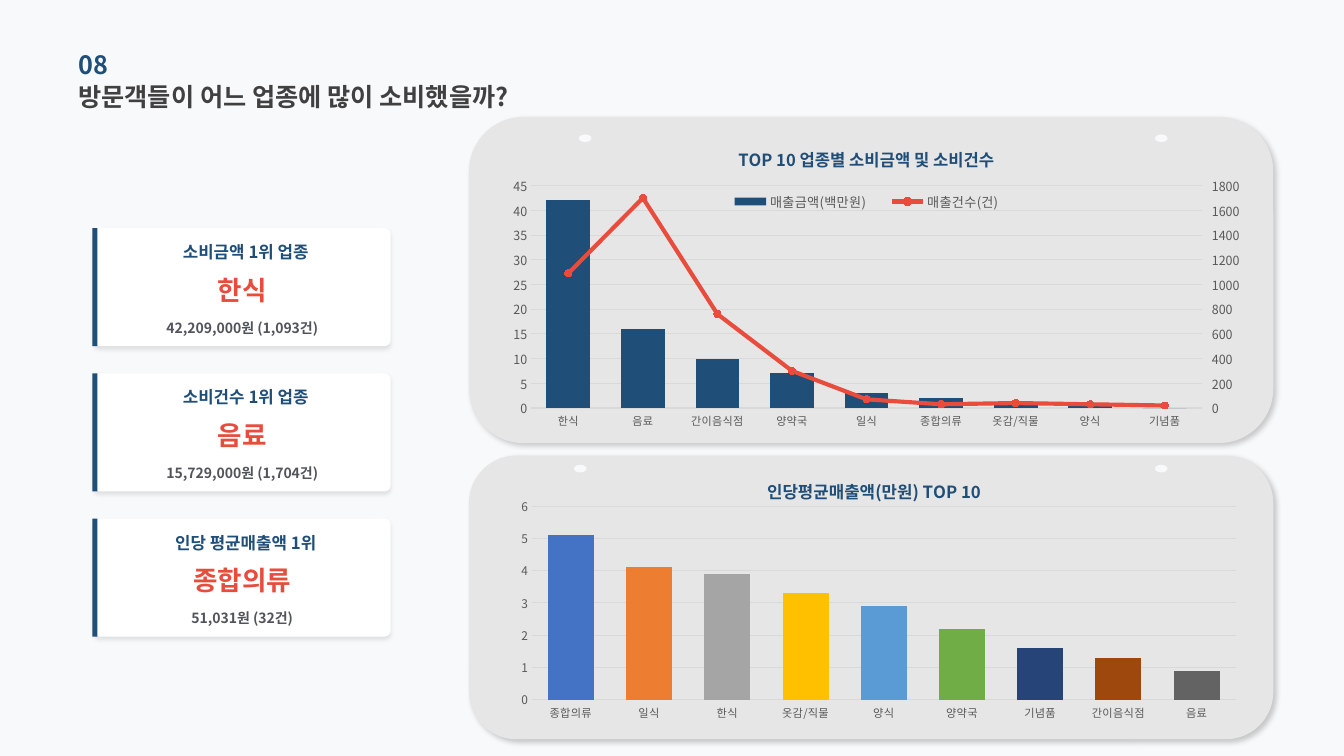
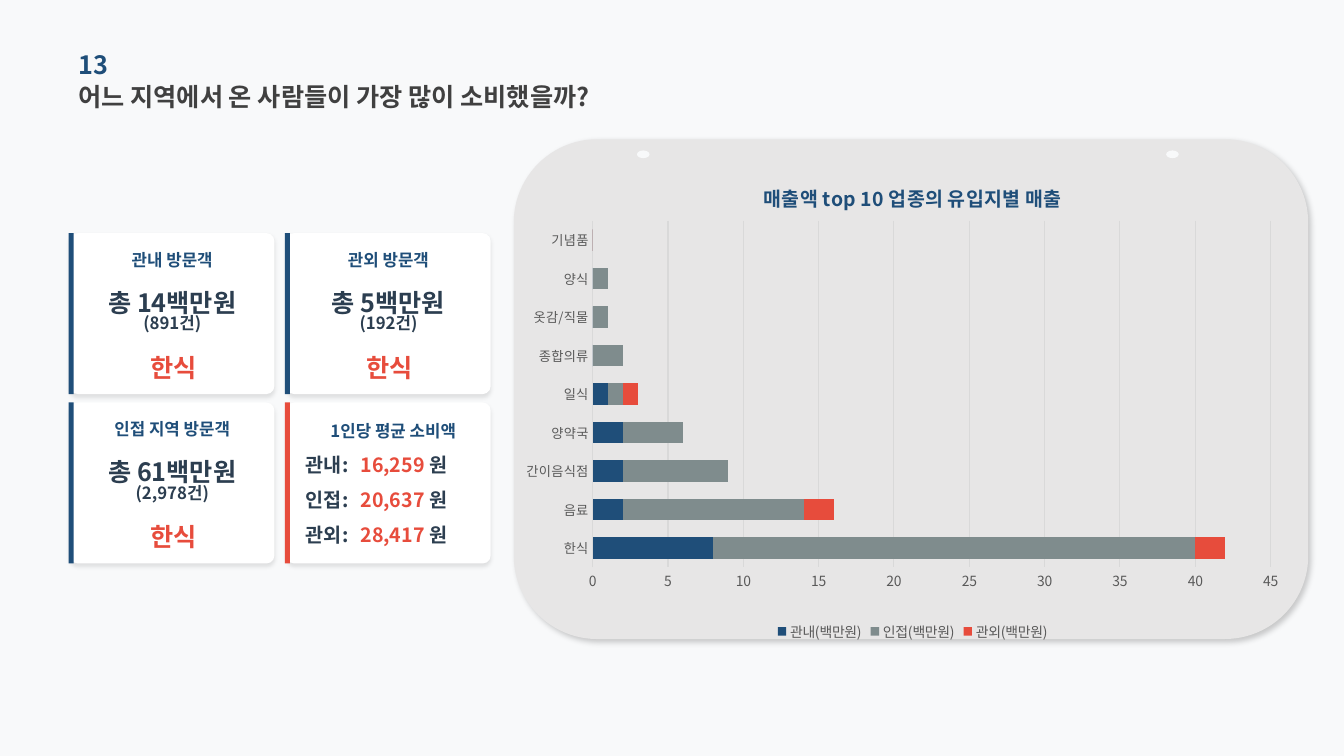
from dataclasses import dataclass
from typing import NamedTuple

from pptx import Presentation
from pptx.chart.axis import ValueAxis
from pptx.chart.data import CategoryChartData
from pptx.dml.color import RGBColor
from pptx.enum.chart import (XL_CHART_TYPE, XL_LEGEND_POSITION,
                             XL_MARKER_STYLE, XL_TICK_MARK)
from pptx.enum.shapes import MSO_SHAPE
from pptx.enum.text import MSO_ANCHOR, PP_ALIGN
from pptx.oxml import parse_xml
from pptx.oxml.ns import nsdecls, qn
from pptx.util import Pt


@dataclass(frozen=True)
class Theme:
    font: str = "Noto Sans CJK KR"
    chart_font: str = "Calibri"
    page: str = "F8F9FA"
    panel: str = "E7E6E6"
    card: str = "FFFFFF"
    navy: str = "1F4E79"
    red: str = "E74C3C"
    slate: str = "2C3E50"
    gray: str = "7F8C8D"
    title: str = "404040"
    note: str = "51545A"
    axis: str = "595959"
    grid: str = "D9D9D9"
    bars: tuple = ("4472C4", "ED7D31", "A5A5A5", "FFC000", "5B9BD5",
                   "70AD47", "264478", "9E480E", "636363")
    title_size: float = 18
    name_size: float = 19
    row_size: float = 14
    label_size: float = 12
    note_size: float = 10


THEME = Theme()


class Box(NamedTuple):
    """A rectangle in points."""
    left: float
    top: float
    width: float
    height: float

    def inner(self, left, top, width, height):
        return Box(self.left + left, self.top + top, width, height)

    def band(self, middle, height, shift=0):
        """Full-width strip centred at a distance below the top."""
        return self.inner(shift, middle - height / 2, self.width, height)

    def emu(self):
        return [Pt(length) for length in self]


def rgb(color):
    return RGBColor.from_string(color)


def style_font(font, size, color, bold=False, name=THEME.font):
    font.size, font.bold, font.name = Pt(size), bold, name
    font.color.rgb = rgb(color)
    latin = font._rPr.find(qn("a:latin"))
    latin.addnext(parse_xml(f'<a:ea {nsdecls("a")} typeface="{name}"/>'))


def add_text(page, box, *lines, size=THEME.label_size, color=THEME.navy,
             bold=True, align=PP_ALIGN.LEFT, spacing=None):
    """Each line is a string or a list of (text, format changes)."""
    frame = page.shapes.add_textbox(*box.emu()).text_frame
    frame.word_wrap = True
    frame.vertical_anchor = MSO_ANCHOR.MIDDLE
    frame.margin_left = frame.margin_right = 0
    frame.margin_top = frame.margin_bottom = 0
    for index, line in enumerate(lines):
        para = frame.add_paragraph() if index else frame.paragraphs[0]
        para.alignment = align
        if spacing:
            para.line_spacing = spacing
        for text, changes in [(line, {})] if isinstance(line, str) else line:
            span = para.add_run()
            span.text = text
            look = dict(size=size, color=color, bold=bold)
            style_font(span.font, **{**look, **changes})


def add_block(page, kind, box, color, corner=None, shadow=None):
    """Shadow is (alpha %, blur, distance, direction in degrees)."""
    block = page.shapes.add_shape(kind, *box.emu())
    block.fill.solid()
    block.fill.fore_color.rgb = rgb(color)
    block.line.fill.background()
    block.shadow.inherit = False
    if corner is not None:
        block.adjustments[0] = corner
    if shadow:
        alpha, blur, distance, direction = shadow
        block._element.spPr.find(qn("a:effectLst")).append(parse_xml(
            f'<a:outerShdw {nsdecls("a")} blurRad="{Pt(blur)}" '
            f'dist="{Pt(distance)}" dir="{direction * 60000}" algn="tl" '
            f'rotWithShape="0"><a:srgbClr val="000000">'
            f'<a:alpha val="{alpha * 1000}"/></a:srgbClr></a:outerShdw>'))


def add_panel(page, box):
    add_block(page, MSO_SHAPE.ROUNDED_RECTANGLE, box, THEME.panel,
              shadow=(20, 4, 3, 45))


def add_holes(page, box, lefts, top):
    for left in lefts:
        add_block(page, MSO_SHAPE.OVAL, box.inner(left, top, 9, 5.5), THEME.page)


def add_card(page, box, accent=THEME.navy):
    add_block(page, MSO_SHAPE.ROUNDED_RECTANGLE, box, THEME.card,
              corner=0.05, shadow=(10, 3, 2, 90))
    add_block(page, MSO_SHAPE.RECTANGLE, box.inner(-1, 0, 3.6, box.height), accent)


def add_page(deck, number, question):
    page = deck.slides.add_slide(deck.slide_layouts[6])
    page.background.fill.solid()
    page.background.fill.fore_color.rgb = rgb(THEME.page)
    head = Box(56, 31.5, 400, 29.5)
    add_text(page, head, number, size=THEME.title_size)
    add_text(page, head.inner(0, 22.5, 400, 29.5), question,
             size=THEME.title_size, color=THEME.title)
    return page


def layout_xml(place, inner=False):
    tags = ['<c:layoutTarget val="inner"/>'] if inner else []
    tags += [f'<c:{axis}Mode val="edge"/>' for axis in "xy"]
    tags += [f'<c:{tag} val="{share}"/>' for tag, share in zip("xywh", place)]
    return parse_xml(f'<c:layout {nsdecls("c")}><c:manualLayout>'
                     f'{"".join(tags)}</c:manualLayout></c:layout>')


def replace_layout(parent, after, layout):
    """Put a layout first in its parent, or after the named child."""
    for old in parent.findall(qn("c:layout")):
        parent.remove(old)
    if after:
        parent.find(qn(after)).addnext(layout)
    else:
        parent.insert(0, layout)


def style_value_axis(axis, size, top, step):
    axis.minimum_scale, axis.maximum_scale, axis.major_unit = 0, top, step
    axis.format.line.fill.background()
    style_font(axis.tick_labels.font, size, THEME.axis)


def add_chart(page, box, kind, categories, series, title, title_at, plot_at,
              title_size, category_size, value_size, top, step, gap, overlap):
    data = CategoryChartData()
    data.categories = categories
    for name, values, _ in series:
        data.add_series(name, values)
    chart = page.shapes.add_chart(kind, *box.emu(), data).chart
    style_font(chart.font, 10, "000000", name=THEME.chart_font)
    chart.has_legend = False

    heading = chart.chart_title.text_frame.paragraphs[0].add_run()
    heading.text = title
    style_font(heading.font, title_size, THEME.navy, True)
    space = chart._chartSpace
    area = space.chart.plotArea
    replace_layout(space.chart.find(qn("c:title")), "c:tx", layout_xml(title_at))
    replace_layout(area, None, layout_xml(plot_at, inner=True))
    clear = (f'<c:spPr {nsdecls("c", "a")}><a:noFill/>'
             '<a:ln><a:noFill/></a:ln></c:spPr>')
    space.find(qn("c:txPr")).addprevious(parse_xml(clear))
    area.append(parse_xml(clear))

    across, up = chart.category_axis, chart.value_axis
    across.major_tick_mark = up.major_tick_mark = XL_TICK_MARK.NONE
    style_font(across.tick_labels.font, category_size, THEME.axis)
    style_value_axis(up, value_size, top, step)
    up.has_major_gridlines = True
    for line in (across.format.line, up.major_gridlines.format.line):
        line.color.rgb, line.width = rgb(THEME.grid), Pt(0.75)

    plot = chart.plots[0]
    plot.gap_width, plot.overlap, plot.vary_by_categories = gap, overlap, False
    for drawn, (_, _, color) in zip(plot.series, series):
        drawn.format.fill.solid()
        drawn.format.fill.fore_color.rgb = rgb(color)
    return chart


def add_legend(chart, position, size, place=None):
    chart.has_legend = True
    chart.legend.position = position
    chart.legend.include_in_layout = False
    style_font(chart.legend.font, size, THEME.axis)
    if place:
        replace_layout(chart.legend._element, "c:legendPos", layout_xml(place))


def move_to_line(chart, color, size, top, step):
    """Draw the last series as a line on a second axis at the right."""
    area = chart._chartSpace.chart.plotArea
    bars = area.find(qn("c:barChart"))
    moved = bars.findall(qn("c:ser"))[-1]
    for tag in ("c:invertIfNegative", "c:spPr"):
        for child in moved.findall(qn(tag)):
            moved.remove(child)
    lines = parse_xml(
        f'<c:lineChart {nsdecls("c")}><c:grouping val="standard"/>'
        '<c:varyColors val="0"/><c:marker val="1"/>'
        '<c:axId val="5001"/><c:axId val="5002"/></c:lineChart>')
    lines.insert(2, moved)
    bars.addnext(lines)

    def axis_xml(tag, own, other, hidden, side, tick, crosses):
        return parse_xml(
            f'<c:{tag} {nsdecls("c")}><c:axId val="{own}"/><c:scaling>'
            f'<c:orientation val="minMax"/></c:scaling><c:delete val="{hidden}"/>'
            f'<c:axPos val="{side}"/><c:numFmt formatCode="General" '
            f'sourceLinked="0"/><c:majorTickMark val="{tick}"/>'
            f'<c:minorTickMark val="none"/><c:tickLblPos val="nextTo"/>'
            f'<c:crossAx val="{other}"/><c:crosses val="{crosses}"/></c:{tag}>')

    right = axis_xml("valAx", 5002, 5001, 0, "r", "out", "max")
    first = area.find(qn("c:valAx"))
    first.addnext(right)
    first.addnext(axis_xml("catAx", 5001, 5002, 1, "b", "none", "autoZero"))
    style_value_axis(ValueAxis(right), size, top, step)

    drawn = chart.plots[1].series[0]
    drawn.smooth = False
    drawn.format.line.color.rgb, drawn.format.line.width = rgb(color), Pt(3)
    drawn.marker.style, drawn.marker.size = XL_MARKER_STYLE.CIRCLE, 5
    for paint in (drawn.marker.format.fill, drawn.marker.format.line.fill):
        paint.solid()
        paint.fore_color.rgb = rgb(color)


def rank_card(page, box, label, name, note):
    add_card(page, box)
    add_text(page, box.band(17, 16, 2.5), label, align=PP_ALIGN.CENTER)
    add_text(page, box.band(44, 24), name, size=THEME.name_size,
             color=THEME.red, align=PP_ALIGN.CENTER)
    add_text(page, box.band(71, 12), note, size=THEME.note_size,
             color=THEME.note, align=PP_ALIGN.CENTER)


def visitor_card(page, box, label, total, count, favourite):
    add_card(page, box)
    add_text(page, box.band(19, 22), label, align=PP_ALIGN.CENTER)
    add_text(page, box.band(57, 34), [(total, {"size": THEME.title_size})], count,
             color=THEME.slate, align=PP_ALIGN.CENTER, spacing=0.8)
    add_text(page, box.band(96, 34, 1), favourite, size=THEME.title_size,
             color=THEME.red, align=PP_ALIGN.CENTER)


def average_card(page, box, label, rows):
    add_card(page, box, THEME.red)
    add_text(page, box.inner(31.5, 11, 110, 18), label)
    for index, (origin, amount) in enumerate(rows):
        top = 34 + 25 * index
        add_text(page, box.inner(14, top, 42, 21), origin,
                 size=THEME.row_size, color=THEME.slate)
        add_text(page, box.inner(53, top, 90, 21),
                 [(amount + " ", {"color": THEME.red}), ("원", {})],
                 size=THEME.row_size, color=THEME.slate)


SECTORS = ("한식", "음료", "간이음식점", "양약국", "일식", "종합의류",
           "옷감/직물", "양식", "기념품")


def sector_page(deck):
    page = add_page(deck, "08", "방문객들이 어느 업종에 많이 소비했을까?")
    upper, lower = Box(335, 83.5, 574.5, 233), Box(335, 325.5, 574.5, 202.5)
    for panel in (lower, upper):
        add_panel(page, panel)
    cards = (("소비금액 1위 업종", "한식", "42,209,000원 (1,093건)"),
             ("소비건수 1위 업종", "음료", "15,729,000원 (1,704건)"),
             ("인당 평균매출액 1위", "종합의류", "51,031원 (32건)"))
    for index, card in enumerate(cards):
        rank_card(page, Box(67, 163 + 103.75 * index, 212, 84.25), *card)

    columns = dict(kind=XL_CHART_TYPE.COLUMN_CLUSTERED, title_size=12,
                   category_size=8, gap=70, overlap=-27)
    spending = add_chart(
        page, upper.inner(23.5, 6, 527, 227), categories=SECTORS,
        series=(("매출금액(백만원)", (42, 16, 10, 7, 3, 2, 1, 1, 0), THEME.navy),
                ("매출건수(건)", (1090, 1700, 760, 300, 70, 30, 40, 30, 20),
                 THEME.red)),
        title="TOP 10 업종별 소비금액 및 소비건수", title_at=(0.32, 0.05),
        plot_at=(0.04, 0.19, 0.92, 0.7), value_size=9, top=45, step=5, **columns)
    move_to_line(spending, THEME.red, 9, 1800, 200)
    add_legend(spending, XL_LEGEND_POSITION.TOP, 9.5, (0.29, 0.2, 0.42, 0.08))

    average = add_chart(
        page, lower.inner(23.5, 1.5, 535, 192),
        categories=("종합의류", "일식", "한식", "옷감/직물", "양식", "양약국",
                    "기념품", "간이음식점", "음료"),
        series=(("인당평균매출액(만원)",
                 (5.1, 4.1, 3.9, 3.3, 2.9, 2.2, 1.6, 1.3, 0.9), THEME.navy),),
        title="인당평균매출액(만원) TOP 10", title_at=(0.35, 0.06),
        plot_at=(0.04, 0.18, 0.94, 0.72), value_size=8.5, top=6, step=1, **columns)
    for index, color in enumerate(THEME.bars):
        fill = average.plots[0].series[0].points[index].format.fill
        fill.solid()
        fill.fore_color.rgb = rgb(color)
    add_holes(page, upper, (78.5, 490), 12.5)
    add_holes(page, lower, (75, 490), 6.5)


def origin_page(deck):
    page = add_page(deck, "13", "어느 지역에서 온 사람들이 가장 많이 소비했을까?")
    panel = Box(367, 99.5, 567.5, 357)
    add_panel(page, panel)
    add_holes(page, panel, (88, 466), 8)
    grid = [Box(50 + 154.5 * column, 166.5 + 121 * row, 146, 115)
            for row in range(2) for column in range(2)]
    visitors = (("관내 방문객", "총 14백만원", "(891건)", "한식"),
                ("관외 방문객", "총 5백만원", "(192건)", "한식"),
                ("인접 지역 방문객", "총 61백만원", "(2,978건)", "한식"))
    for box, visitor in zip(grid, visitors):
        visitor_card(page, box, *visitor)
    average_card(page, grid[-1], "1인당 평균 소비액",
                 (("관내:", "16,259"), ("인접:", "20,637"), ("관외:", "28,417")))
    chart = add_chart(
        page, panel.inner(9, 13, 548, 348.5), XL_CHART_TYPE.BAR_STACKED, SECTORS,
        series=(("관내(백만원)", (8, 2, 2, 2, 1, 0, 0, 0, 0), THEME.navy),
                ("인접(백만원)", (32, 12, 7, 4, 1, 2, 1, 1, 0), THEME.gray),
                ("관외(백만원)", (2, 2, 0, 0, 1, 0, 0, 0, 0), THEME.red)),
        title="매출액 top 10 업종의 유입지별 매출", title_at=(0.3, 0.04),
        plot_at=(0.08, 0.13, 0.89, 0.71), title_size=14, category_size=9.5,
        value_size=10, top=45, step=5, gap=80, overlap=100)
    add_legend(chart, XL_LEGEND_POSITION.BOTTOM, 10)


def main():
    deck = Presentation()
    deck.slide_width, deck.slide_height = Pt(960), Pt(540)
    sector_page(deck)
    origin_page(deck)
    deck.save("out.pptx")


if __name__ == "__main__":
    main()
